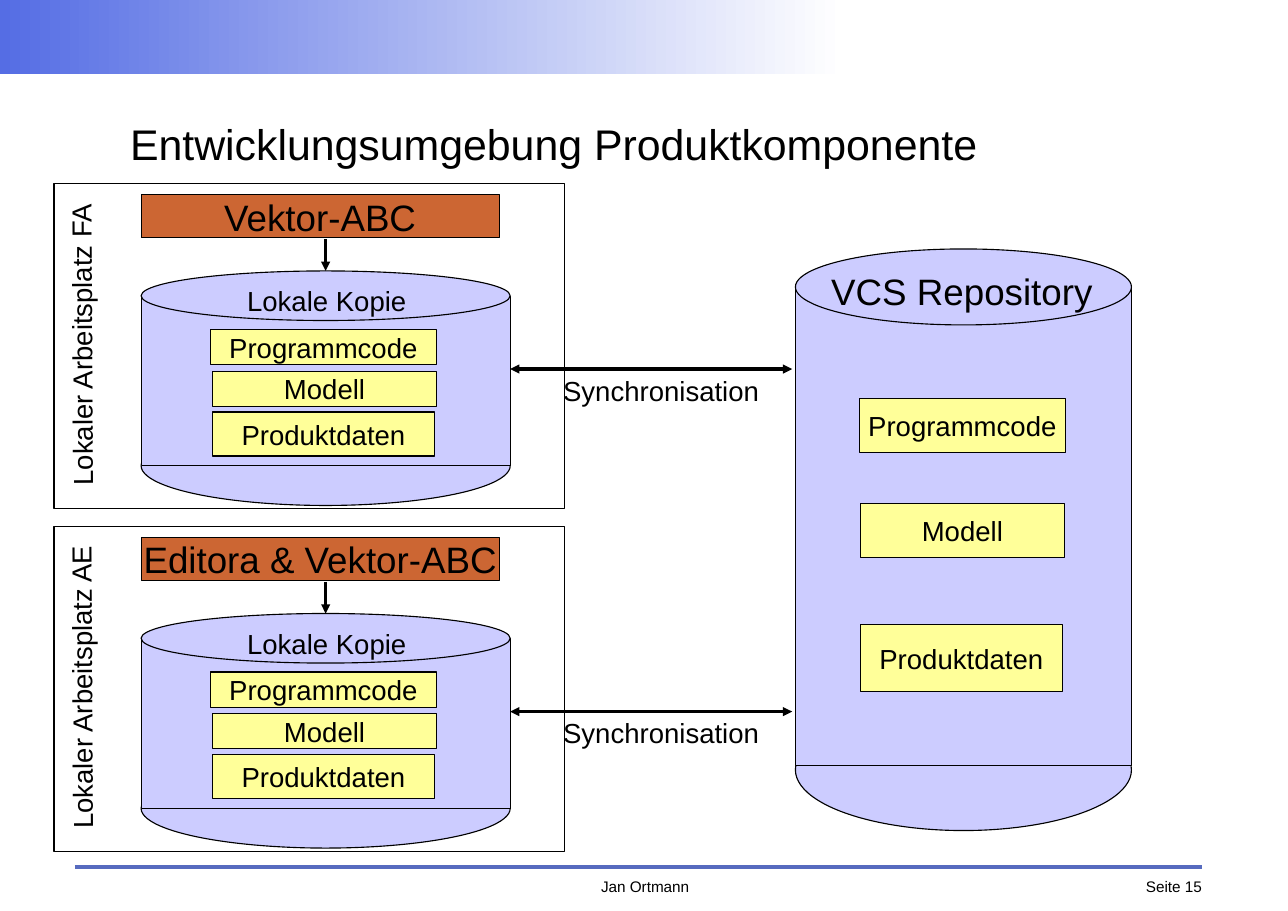
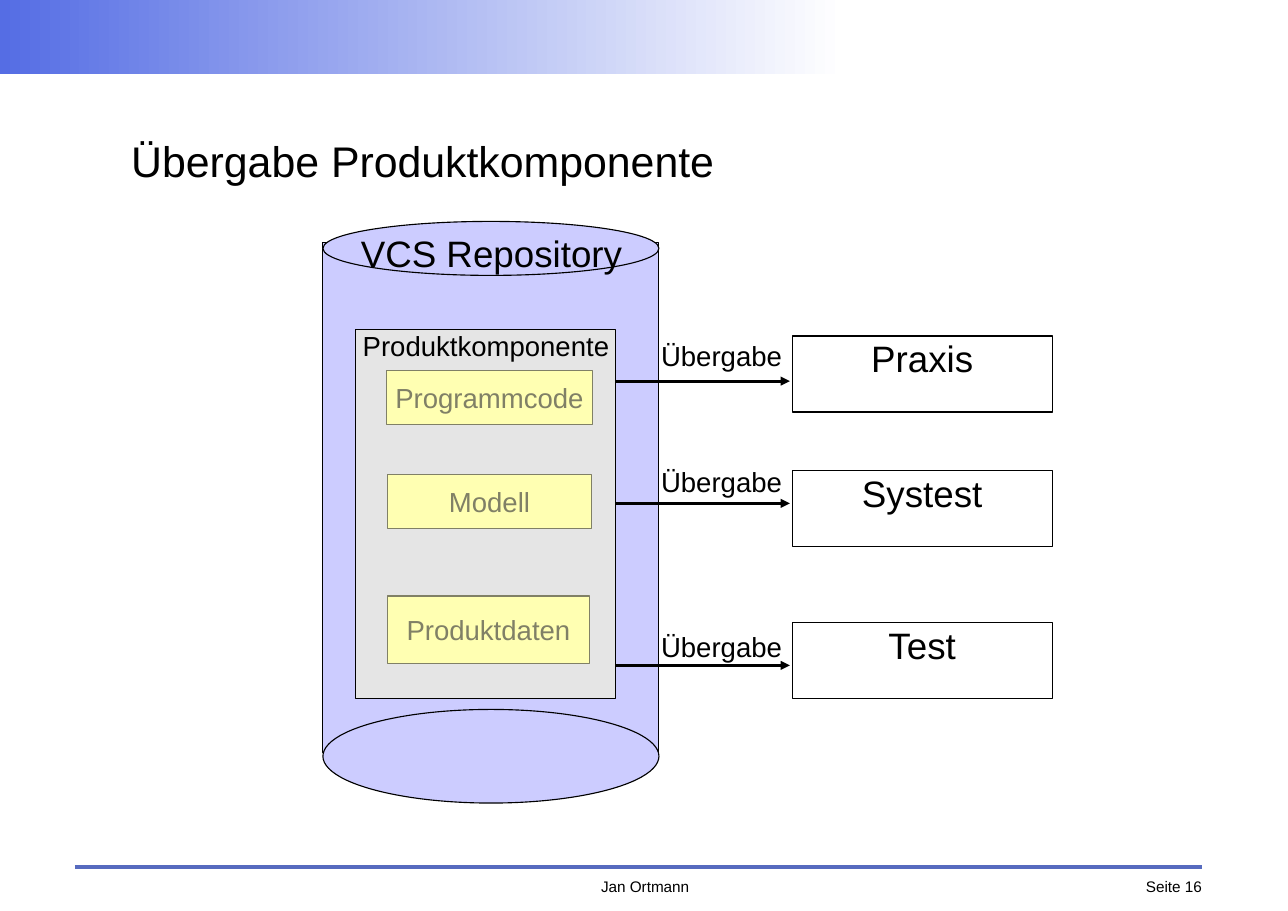
"""Build two slides on the development and handover of product components."""
from pptx import Presentation
from pptx.dml.color import RGBColor
from pptx.enum.shapes import MSO_CONNECTOR, MSO_SHAPE
from pptx.enum.text import MSO_ANCHOR, PP_ALIGN
from pptx.oxml.ns import qn
from pptx.util import Pt
from lxml.etree import SubElement

BLACK = RGBColor(0x00, 0x00, 0x00)
WHITE = RGBColor(0xFF, 0xFF, 0xFF)
BAND_BLUE = RGBColor(0x55, 0x6D, 0xE4)
RULE_BLUE = RGBColor(0x57, 0x6B, 0xBF)
LAVENDER = RGBColor(0xCC, 0xCC, 0xFF)
YELLOW = RGBColor(0xFF, 0xFF, 0x99)
CREAM = RGBColor(0xFF, 0xFF, 0xCC)
ORANGE = RGBColor(0xCC, 0x66, 0x33)
FONT = "Arial"
RECTANGLE, OVAL = MSO_SHAPE.RECTANGLE, MSO_SHAPE.OVAL


def add_box(slide, kind, box, fill=None, text="", size=18,
            align=PP_ALIGN.CENTER, anchor=MSO_ANCHOR.MIDDLE):
    """Add an outlined shape, or a plain text box when kind is None."""
    lengths = [Pt(length) for length in box]
    if kind is None:
        shape = slide.shapes.add_textbox(*lengths)
    else:
        shape = slide.shapes.add_shape(kind, *lengths)
        shape.shadow.inherit = False
        shape.line.color.rgb = BLACK
        shape.line.width = Pt(0)
        if fill is None:
            shape.fill.background()
        else:
            shape.fill.solid()
            shape.fill.fore_color.rgb = fill
    if text:
        frame = shape.text_frame
        frame.margin_left = frame.margin_right = Pt(0)
        frame.margin_top = frame.margin_bottom = Pt(0)
        frame.word_wrap = align == PP_ALIGN.LEFT
        frame.vertical_anchor = anchor
        paragraph = frame.paragraphs[0]
        paragraph.alignment = align
        run = paragraph.add_run()
        run.text = text
        run.font.name = FONT
        run.font.size = Pt(size)
        run.font.color.rgb = BLACK
    return shape


def add_line(slide, start, end, color=BLACK, width=0, arrowheads=()):
    """Add a straight connector with the given arrowhead ends."""
    connector = slide.shapes.add_connector(
        MSO_CONNECTOR.STRAIGHT, *[Pt(length) for length in start + end])
    connector.line.color.rgb = color
    connector.line.width = Pt(width)
    properties = connector.element.spPr
    for arrowhead in arrowheads:
        SubElement(properties.find(qn("a:ln")), qn(arrowhead), type="triangle")
    SubElement(properties, qn("a:effectLst"))
    return connector


presentation = Presentation()
presentation.slide_width = Pt(841.68)
presentation.slide_height = Pt(595.44)

slides = []
for page, title, left, top in (
    (15, "Entwicklungsumgebung Produktkomponente", 85, 56.9),
    (16, "Übergabe Produktkomponente", 85.7, 68.4),
):
    slide = presentation.slides.add_slide(presentation.slide_layouts[6])
    add_line(slide, (49, 566.6), (785.5, 566.6), RULE_BLUE, 2.83)
    add_box(slide, None, (704, 572.4, 81.4, 13.7), text=f"Seite {page}",
            size=10, align=PP_ALIGN.RIGHT)
    add_box(slide, None, (363.6, 572.4, 115.9, 14.4), text="Jan Ortmann", size=10)
    band = add_box(slide, RECTANGLE, (0, 0, 552.2, 48.2))
    band.line.fill.background()
    band.fill.gradient()
    band.fill.gradient_angle = 0
    for stop, color in zip(band.fill.gradient_stops, (BAND_BLUE, WHITE)):
        stop.color.rgb = color
    add_box(slide, None, (left, top, 670.3, 73.4), text=title, size=28,
            align=PP_ALIGN.LEFT)
    slides.append(slide)
development, handover = slides

REPOSITORY_PARTS = (
    ("Programmcode", 561.6, 260.6, 134.6, 35.3),
    ("Modell", 562.3, 329, 133.2, 35.3),
    ("Produktdaten", 562.3, 408.2, 131.8, 43.9),
)
LOCAL_PARTS = (
    ("Programmcode", 137.5, 215.3, 147.6, 23),
    ("Modell", 139, 242.6, 146.2, 23),
    ("Produktdaten", 139, 269.3, 144.7, 28.8),
)

for slide, left, label_left, label_top, shift_x, shift_y, cylinder in (
    (development, 519.8, 540, 177.1, 0, 0,
     ((OVAL, 463.7, 79.2), (RECTANGLE, 188.6, 311.8), (OVAL, 162.7, 49.7))),
    (handover, 211, 232.6, 151.9, -309, -18.6,
     ((RECTANGLE, 158.4, 333.4), (OVAL, 463.7, 61.2), (OVAL, 144.7, 35.3))),
):
    for kind, top, height in cylinder:
        add_box(slide, kind, (left, top, 219.6, height), LAVENDER)
    add_box(slide, None, (label_left, label_top, 177.1, 26.6),
            text="VCS Repository", size=24)
    for name, part_left, part_top, width, height in REPOSITORY_PARTS:
        add_box(slide, RECTANGLE,
                (part_left + shift_x, part_top + shift_y, width, height), YELLOW, name)

for index, (workplace, tool) in enumerate((
    ("Lokaler Arbeitsplatz FA", "Vektor-ABC"),
    ("Lokaler Arbeitsplatz AE", "Editora & Vektor-ABC"),
)):
    offset = index * 223.92
    add_box(development, RECTANGLE, (35.3, 120.2 + offset, 333.4, 212.4))
    add_box(development, RECTANGLE, (92.2, 127.4 + offset, 234, 28.1), ORANGE, tool, 24)
    for kind, top, height in (
        (OVAL, 278.6, 51.8), (RECTANGLE, 193.7, 110.9), (OVAL, 177.1, 32.4),
    ):
        lid = add_box(development, kind, (92.2, top + offset, 241.2, height), LAVENDER)
    for name, left, top, width, height in LOCAL_PARTS:
        add_box(development, RECTANGLE, (left, top + offset, width, height), YELLOW, name)
    tool_arrow = add_line(development, (212.8, 156.2 + offset), (212.8, 177.1 + offset),
                          arrowheads=("a:tailEnd",))
    tool_arrow.end_connect(lid, 0)
    add_box(development, None, (161.3, 186.5 + offset, 104.4, 20.2), text="Lokale Kopie")
    add_line(development, (333.4, 241.2 + offset), (517.7, 241.2 + offset),
             arrowheads=("a:headEnd", "a:tailEnd"))
    add_box(development, None, (367.9, 244.8 + offset, 128.2, 20.2),
            text="Synchronisation")
    workplace_label = add_box(development, None, (-40.3, 215.3 + offset, 186.5, 20.2),
                              text=workplace)
    workplace_label.rotation = 269.6

component = add_box(handover, RECTANGLE, (232.6, 215.3, 169.9, 241.2), CREAM,
                    "Produktkomponente", anchor=MSO_ANCHOR.TOP)
cream_color = component.element.spPr.find(qn("a:solidFill"))[0]
SubElement(cream_color, qn("a:alpha"), val="50000")

for target, target_top, arrow_y, label_top in (
    ("Praxis", 219.6, 249.1, 222.5),
    ("Systest", 307.4, 329, 304.6),
    ("Test", 406.8, 434.9, 412.6),
):
    add_box(handover, RECTANGLE, (517.7, target_top, 169.9, 49.7), None, target, 24,
            anchor=MSO_ANCHOR.TOP)
    add_line(handover, (402.5, arrow_y), (516.2, arrow_y), arrowheads=("a:tailEnd",))
    add_box(handover, None, (432, label_top, 85, 20.2), text="Übergabe",
            align=PP_ALIGN.LEFT)

presentation.save("out.pptx")
